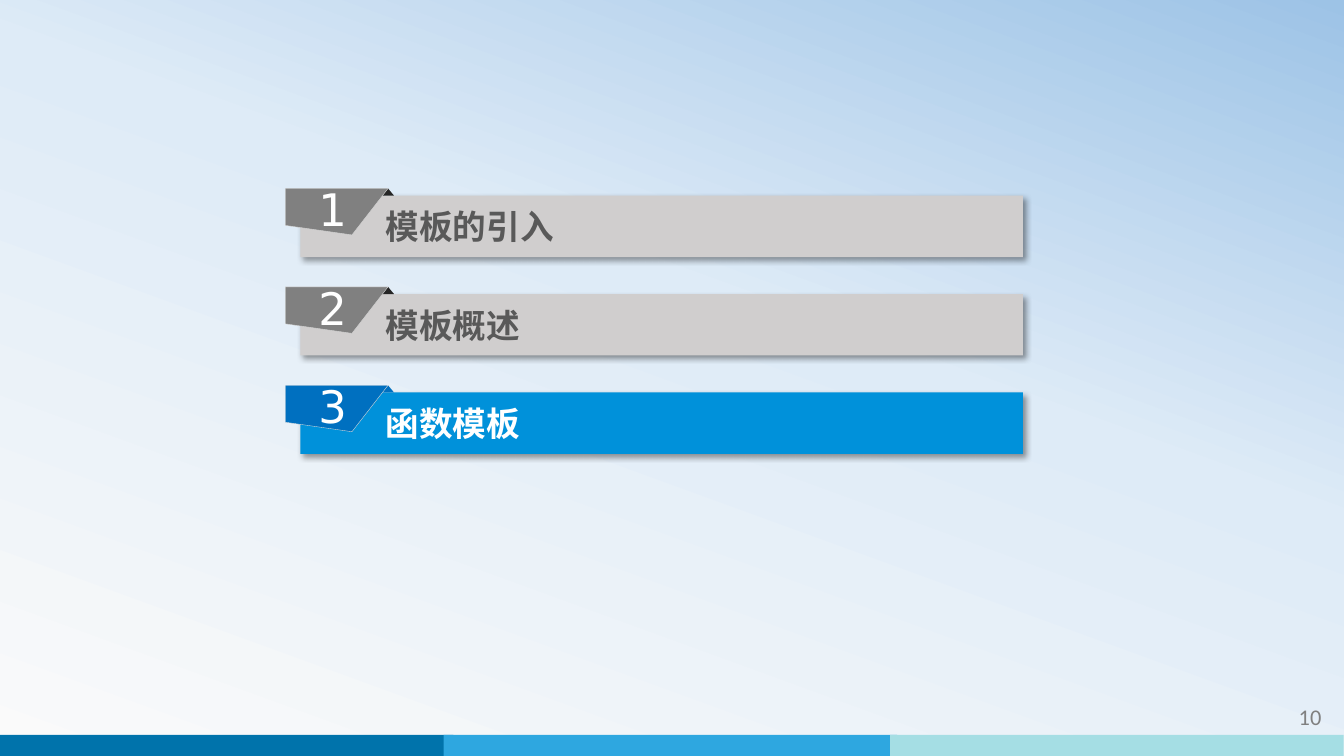
from copy import deepcopy
from typing import NamedTuple

from lxml import etree
from pptx import Presentation
from pptx import util as u
from pptx.dml.color import RGBColor
from pptx.enum import shapes, text
from pptx.oxml import ns

WHITE = RGBColor(0xFF, 0xFF, 0xFF)
BLACK = RGBColor(0x00, 0x00, 0x00)
PALE_GREY = RGBColor(0xD0, 0xCE, 0xCE)
EDGE_GREY = RGBColor(0xD9, 0xD9, 0xD9)
MID_GREY = RGBColor(0x80, 0x80, 0x80)
DARK_GREY = RGBColor(0x59, 0x59, 0x59)
FOLD_GREY = RGBColor(0x26, 0x26, 0x26)
BRIGHT_BLUE = RGBColor(0x00, 0x91, 0xDA)
DEEP_BLUE = RGBColor(0x00, 0x70, 0xC0)
FOOTER_COLOURS = (
    RGBColor(0x00, 0x73, 0xAB),
    RGBColor(0x2E, 0xA7, 0xE0),
    RGBColor(0xA5, 0xDE, 0xE4),
)
BACKGROUND_STOPS = (
    (0, RGBColor(0xFA, 0xFA, 0xFA)),
    (0.58, RGBColor(0xDE, 0xEB, 0xF7)),
    (1, RGBColor(0x9D, 0xC3, 0xE6)),
)

TITLE_FONT = "Noto Sans CJK SC"
NUMBER_FONT = "DejaVu Sans"
PAGE_FONT = "Calibri"

FIRST_TOP = 4.75
ROW_PITCH = 2.48
TAB_LEFT = 7.19
TAB_OUTLINE = ((0, 0), (2.59, 0), (1.68, 1.17), (0, 0.93))


class Theme(NamedTuple):
    bar: RGBColor
    title: RGBColor
    tab: RGBColor
    fold: RGBColor


class Chapter(NamedTuple):
    title: str
    theme: Theme


MUTED = Theme(PALE_GREY, DARK_GREY, MID_GREY, FOLD_GREY)
ACTIVE = Theme(BRIGHT_BLUE, WHITE, DEEP_BLUE, DEEP_BLUE)
CHAPTERS = (
    Chapter("模板的引入", MUTED),
    Chapter("模板概述", MUTED),
    Chapter("函数模板", ACTIVE),
)


def paint_background(page) -> None:
    fill = page.background.fill
    fill.gradient()
    fill.gradient_angle = 70
    stop_list = page.element.find(".//" + ns.qn("a:gsLst"))
    stop_list.append(deepcopy(stop_list[-1]))
    for stop, (position, colour) in zip(fill.gradient_stops, BACKGROUND_STOPS):
        stop.position = position
        stop.color.rgb = colour


def paint(shape, colour: RGBColor) -> None:
    shape.shadow.inherit = False
    shape.fill.solid()
    shape.fill.fore_color.rgb = colour
    shape.line.fill.background()


def add_block(page, kind, left: float, top: float, width: float, height: float,
              colour: RGBColor):
    block = page.shapes.add_shape(
        kind, u.Cm(left), u.Cm(top), u.Cm(width), u.Cm(height))
    paint(block, colour)
    return block


def cast_shadow(shape) -> None:
    effects = shape.element.spPr.find(ns.qn("a:effectLst"))
    shadow = etree.SubElement(
        effects, ns.qn("a:outerShdw"), blurRad=str(u.Pt(4)),
        dist=str(u.Pt(3)), dir="2700000", algn="tl", rotWithShape="0")
    colour = etree.SubElement(shadow, ns.qn("a:srgbClr"), val=str(BLACK))
    etree.SubElement(colour, ns.qn("a:alpha"), val="40000")


def write(shape, words: str, font: str, size: int, colour: RGBColor,
          align, bold: bool = False) -> None:
    frame = shape.text_frame
    frame.text = words
    frame.word_wrap = True
    frame.vertical_anchor = text.MSO_ANCHOR.MIDDLE
    para = frame.paragraphs[0]
    para.alignment = align
    span = para.runs[0]
    span.font.name = font
    span.font.size = u.Pt(size)
    span.font.bold = bold
    span.font.color.rgb = colour
    east_asian = etree.Element(ns.qn("a:ea"), typeface=font)
    span.font._element.find(ns.qn("a:latin")).addnext(east_asian)


def add_tab(page, number: int, top: float, colour: RGBColor) -> None:
    points = [(u.Cm(TAB_LEFT + x), u.Cm(top + y)) for x, y in TAB_OUTLINE]
    builder = page.shapes.build_freeform(*points[0])
    builder.add_line_segments(points[1:], close=True)
    tab = builder.convert_to_shape()
    paint(tab, colour)
    tab.line.color.rgb = EDGE_GREY
    tab.line.width = u.Pt(0.25)
    frame = tab.text_frame
    frame.margin_left, frame.margin_right = u.Cm(0.23), u.Cm(0.43)
    frame.margin_top, frame.margin_bottom = u.Cm(0.1), u.Cm(0.25)
    write(tab, str(number), NUMBER_FONT, 32, WHITE, text.PP_ALIGN.CENTER)


def add_chapter(page, number: int, chapter: Chapter) -> None:
    theme = chapter.theme
    top = FIRST_TOP + ROW_PITCH * (number - 1)
    bar = add_block(page, shapes.MSO_SHAPE.RECTANGLE,
                    7.57, top + 0.18, 18.21, 1.55, theme.bar)
    cast_shadow(bar)
    bar.text_frame.margin_left = u.Cm(2.15)
    write(bar, chapter.title, TITLE_FONT, 24, theme.title,
          text.PP_ALIGN.LEFT, bold=True)
    add_block(page, shapes.MSO_SHAPE.ISOSCELES_TRIANGLE,
              9.63, top, 0.3, 0.18, theme.fold)
    add_tab(page, number, top, theme.tab)


def add_footer(page) -> None:
    for left, colour in zip((0, 11.18, 22.43), FOOTER_COLOURS):
        add_block(page, shapes.MSO_SHAPE.RECTANGLE,
                  left, 18.52, 11.43, 0.53, colour)
    box = page.shapes.add_textbox(
        u.Cm(29.51), u.Cm(17.55), u.Cm(4.04), u.Cm(1.02))
    write(box, "10", PAGE_FONT, 16, MID_GREY, text.PP_ALIGN.RIGHT)


deck = Presentation()
deck.slide_width, deck.slide_height = u.Cm(33.87), u.Cm(19.05)
page = deck.slides.add_slide(deck.slide_layouts[6])
paint_background(page)
add_footer(page)
for number, chapter in enumerate(CHAPTERS, start=1):
    add_chapter(page, number, chapter)
deck.save("out.pptx")
